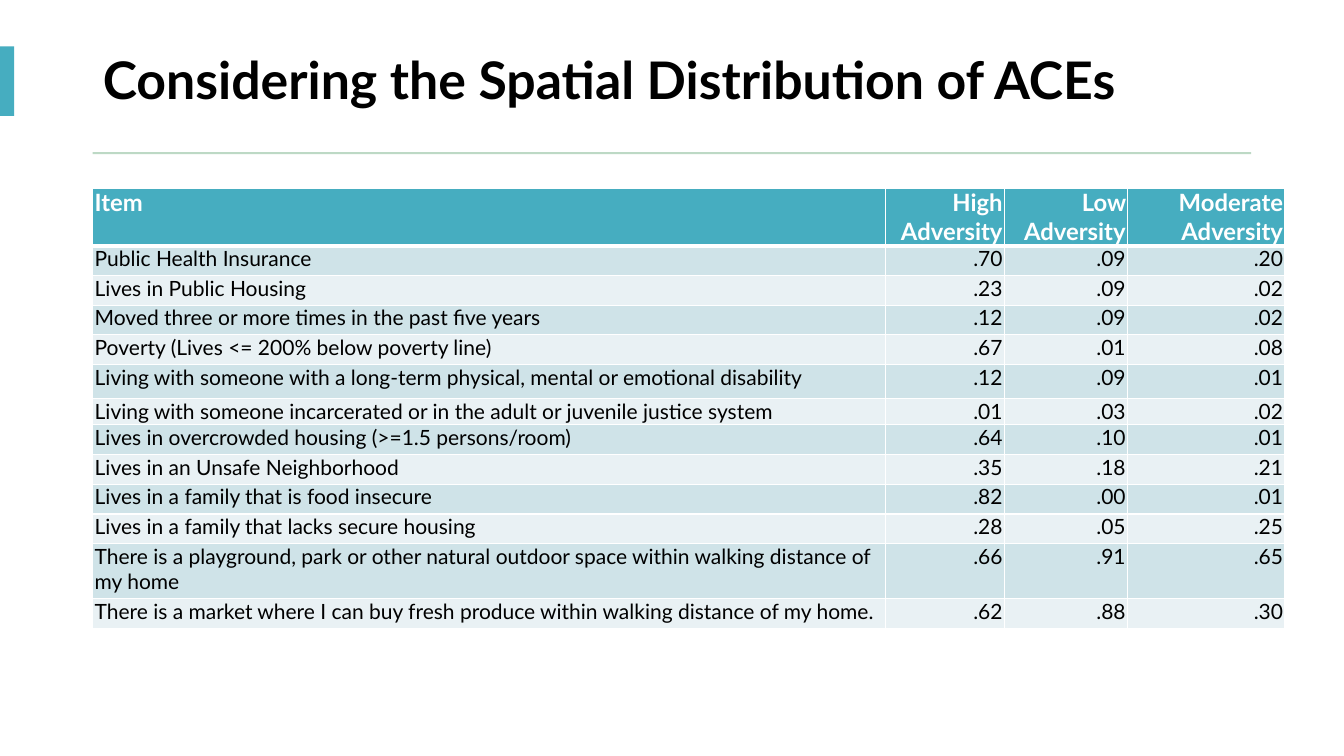
from dataclasses import dataclass

from lxml.etree import SubElement
from pptx import Presentation
from pptx.dml.color import RGBColor
from pptx.enum.shapes import MSO_SHAPE
from pptx.enum.text import MSO_ANCHOR, MSO_AUTO_SIZE, PP_ALIGN
from pptx.oxml.ns import qn
from pptx.slide import Slide
from pptx.table import _Cell
from pptx.text.text import _Paragraph
from pptx.util import Inches, Pt

SLIDE_WIDTH = Inches(13.33)
SLIDE_HEIGHT = Inches(7.5)


@dataclass(frozen=True)
class Theme:
    font: str = "Lato"
    text: str = "000000"
    white: str = "FFFFFF"
    accent: str = "46ADC0"
    rule: str = "BDD9C5"
    bands: tuple[str, str] = ("CFE3E8", "E9F1F4")
    title_size: int = 37
    header_size: int = 17
    body_size: int = 15
    border: int = 1
    header_border: int = 3


@dataclass(frozen=True)
class Frame:
    """Place and size in percent of the slide's width and height."""
    left: float
    top: float
    width: float
    height: float

    def lengths(self) -> tuple[int, int, int, int]:
        return (
            int(SLIDE_WIDTH * self.left / 100),
            int(SLIDE_HEIGHT * self.top / 100),
            int(SLIDE_WIDTH * self.width / 100),
            int(SLIDE_HEIGHT * self.height / 100),
        )


@dataclass(frozen=True)
class Bar:
    frame: Frame
    color: str


@dataclass(frozen=True)
class Item:
    label: str
    high: str
    low: str
    moderate: str
    height: float = 1  # in standard rows


THEME = Theme()
TITLE = "Considering the Spatial Distribution of ACEs"
TITLE_FRAME = Frame(6.9, 3.6, 86.2, 14.67)
TABLE_FRAME = Frame(6.9, 24.93, 88.72, 58.13)
COLUMN_SHARES = (66.5, 9.98, 10.32, 13.2)  # percent of the table's width

BARS = (
    Bar(Frame(0, 6.13, 1.05, 9.2), THEME.accent),
    Bar(Frame(6.9, 20.13, 86.2, 0.27), THEME.rule),
)

ITEMS = (
    Item("Item", "High Adversity", "Low Adversity", "Moderate Adversity", 1.9),
    Item("Public Health Insurance", ".70", ".09", ".20"),
    Item("Lives in Public Housing", ".23", ".09", ".02"),
    Item("Moved three or more times in the past five years", ".12", ".09", ".02"),
    Item("Poverty (Lives <= 200% below poverty line)", ".67", ".01", ".08"),
    Item("Living with someone with a long-term physical, mental or emotional disability",
         ".12", ".09", ".01", 1.15),
    Item("Living with someone incarcerated or in the adult or juvenile justice system",
         ".01", ".03", ".02", 0.88),
    Item("Lives in overcrowded housing (>=1.5 persons/room)", ".64", ".10", ".01"),
    Item("Lives in an Unsafe Neighborhood", ".35", ".18", ".21"),
    Item("Lives in a family that is food insecure", ".82", ".00", ".01"),
    Item("Lives in a family that lacks secure housing", ".28", ".05", ".25"),
    Item("There is a playground, park or other natural outdoor space "
         "within walking distance of my home", ".66", ".91", ".65", 1.85),
    Item("There is a market where I can buy fresh produce "
         "within walking distance of my home.", ".62", ".88", ".30"),
)


def format_runs(paragraph: _Paragraph, size: int, color: str, bold: bool) -> None:
    for run in paragraph.runs:
        run.font.name = THEME.font
        run.font.size = Pt(size)
        run.font.bold = bold
        run.font.color.rgb = RGBColor.from_string(color)


def add_title(slide: Slide) -> None:
    title = slide.shapes.title
    title.left, title.top, title.width, title.height = TITLE_FRAME.lengths()
    text_frame = title.text_frame
    text_frame.text = TITLE
    text_frame.word_wrap = True
    text_frame.auto_size = MSO_AUTO_SIZE.NONE
    text_frame.vertical_anchor = MSO_ANCHOR.MIDDLE
    paragraph = text_frame.paragraphs[0]
    paragraph.alignment = PP_ALIGN.LEFT
    paragraph.line_spacing = 0.9
    format_runs(paragraph, THEME.title_size, THEME.text, True)


def add_bar(slide: Slide, bar: Bar) -> None:
    shape = slide.shapes.add_shape(MSO_SHAPE.RECTANGLE, *bar.frame.lengths())
    shape.shadow.inherit = False
    shape.fill.solid()
    shape.fill.fore_color.rgb = RGBColor.from_string(bar.color)
    shape.line.fill.background()


def add_borders(cell: _Cell, top: int, bottom: int) -> None:
    """Draw white cell borders; they must come before the cell's fill."""
    properties = cell._tc.get_or_add_tcPr()
    widths = {"a:lnL": THEME.border, "a:lnR": THEME.border, "a:lnT": top, "a:lnB": bottom}
    for tag, width in widths.items():
        line = SubElement(properties, qn(tag), w=str(Pt(width)))
        fill = SubElement(line, qn("a:solidFill"))
        SubElement(fill, qn("a:srgbClr"), val=THEME.white)


def format_cell(cell: _Cell, text: str, row: int, column: int) -> None:
    is_header = row == 0
    add_borders(
        cell,
        top=THEME.header_border if row == 1 else THEME.border,
        bottom=THEME.header_border if is_header else THEME.border,
    )
    cell.fill.solid()
    fill_color = THEME.accent if is_header else THEME.bands[(row - 1) % 2]
    cell.fill.fore_color.rgb = RGBColor.from_string(fill_color)
    cell.margin_left = cell.margin_right = Inches(0.02)
    cell.margin_top = cell.margin_bottom = 0
    cell.vertical_anchor = MSO_ANCHOR.TOP
    cell.text_frame.text = text
    paragraph = cell.text_frame.paragraphs[0]
    paragraph.alignment = PP_ALIGN.LEFT if column == 0 else PP_ALIGN.RIGHT
    if is_header:
        format_runs(paragraph, THEME.header_size, THEME.white, True)
    else:
        format_runs(paragraph, THEME.body_size, THEME.text, False)


def add_item_table(slide: Slide) -> None:
    left, top, width, height = TABLE_FRAME.lengths()
    table = slide.shapes.add_table(
        len(ITEMS), len(COLUMN_SHARES), left, top, width, height
    ).table
    for column, share in zip(table.columns, COLUMN_SHARES):
        column.width = int(width * share / 100)
    standard_row = height / sum(item.height for item in ITEMS)
    for row, item in enumerate(ITEMS):
        table.rows[row].height = int(standard_row * item.height)
        for column, text in enumerate((item.label, item.high, item.low, item.moderate)):
            format_cell(table.cell(row, column), text, row, column)


def main() -> None:
    presentation = Presentation()
    presentation.slide_width = SLIDE_WIDTH
    presentation.slide_height = SLIDE_HEIGHT
    slide = presentation.slides.add_slide(presentation.slide_layouts.get_by_name("Title Only"))
    slide.background.fill.solid()
    slide.background.fill.fore_color.rgb = RGBColor.from_string(THEME.white)

    # Heading with its side marker and rule
    add_title(slide)
    for bar in BARS:
        add_bar(slide, bar)

    # Adversity table
    add_item_table(slide)

    presentation.save("out.pptx")


if __name__ == "__main__":
    main()
